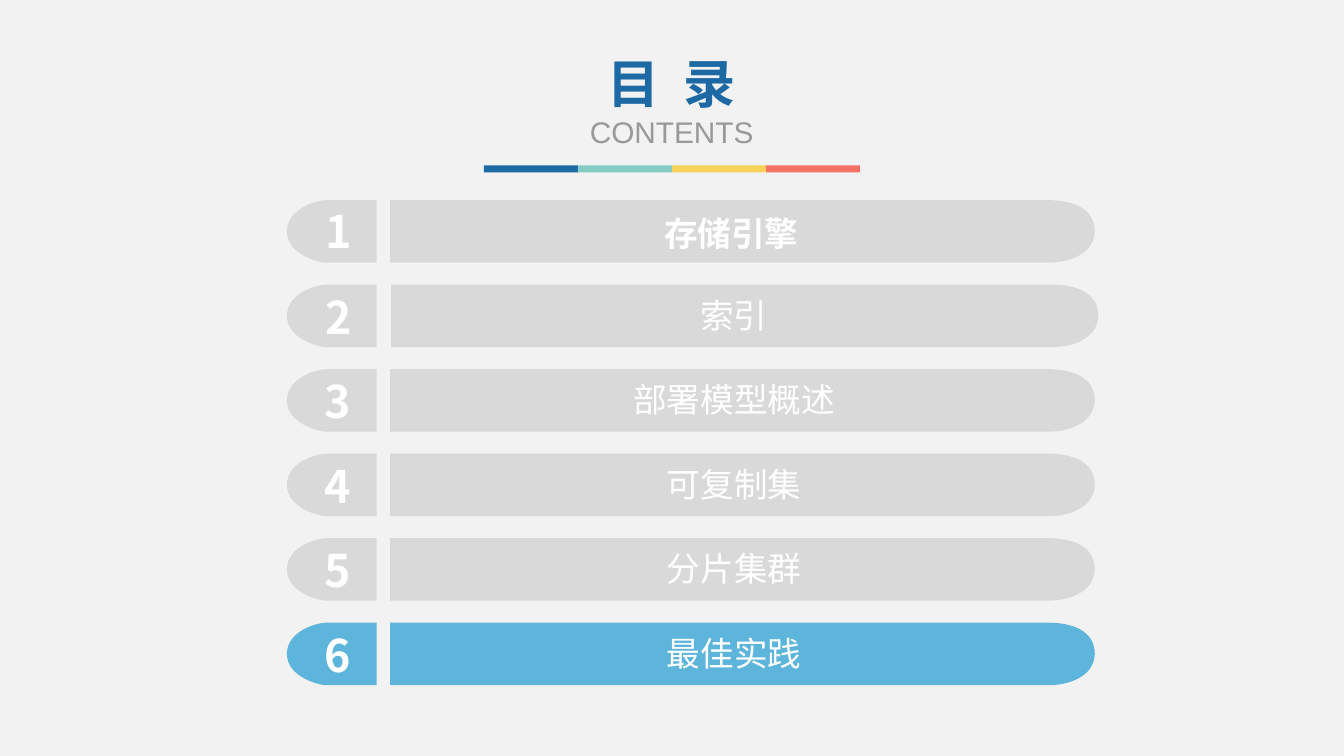
from dataclasses import dataclass
from typing import NamedTuple

from lxml.etree import SubElement
from pptx import Presentation
from pptx.dml.color import RGBColor
from pptx.enum.shapes import MSO_SHAPE as Preset
from pptx.enum.text import PP_ALIGN as Align
from pptx.oxml.ns import qn
from pptx.util import Inches, Pt

# Grid of 160 columns by 90 rows
COLUMNS, ROWS = 160, 90
SLIDE_WIDTH, SLIDE_HEIGHT = Inches(13.33), Inches(7.5)


@dataclass(frozen=True)
class Theme:
    background: str = "F2F2F2"
    heading: str = "1D69A3"
    subheading: str = "999999"
    idle: str = "D9D9D9"
    active: str = "5DB5DB"
    text: str = "FFFFFF"
    strip: tuple = ("1D69A3", "84CBC3", "F8D158", "F57365")
    heading_font: str = "Roboto Condensed"
    subheading_font: str = "Arial"
    body_font: str = "Noto Sans CJK SC"
    heading_size: float = 37.3
    subheading_size: float = 21.3
    number_size: float = 32
    label_size: float = 24


class Entry(NamedTuple):
    title: str
    bold: bool = False
    active: bool = False
    bar_left: float = 46.44
    bar_width: float = 83.9
    number_left: float = 37.32
    number_drop: float = 0
    label_left: float = 46.96
    label_width: float = 80.88
    label_drop: float = 0.6


THEME = Theme()
ENTRIES = (
    Entry("存储引擎", bold=True, number_left=37.44, number_drop=-0.16,
          label_left=47.16, label_width=79.8, label_drop=0.9),
    Entry("索引", bar_left=46.56, bar_width=84.2, number_left=37.44,
          label_left=47.16, label_width=80.4),
    Entry("部署模型概述"),
    Entry("可复制集"),
    Entry("分片集群"),
    Entry("最佳实践", active=True),
)
LIST_TOP, ROW_PITCH, ROW_HEIGHT = 23.83, 10.06, 7.44
NUMBER_LEFT, NUMBER_RIGHT = 34.16, 44.84

# Start and two Bezier curves of a rounded end: (inset from the tip, share of the height)
BAR_END = ((5.52, 1), (3.42, 1), (0.12, 0.89), (0, 0.5),
           (0, 0.11), (2.94, 0), (5.52, 0))
NUMBER_END = ((4.7, 1), (3.84, 1), (0, 0.87), (0, 0.5),
              (0, 0.13), (3.6, 0), (4.7, 0))


def across(columns):
    return round(SLIDE_WIDTH * columns / COLUMNS)


def down(rows):
    return round(SLIDE_HEIGHT * rows / ROWS)


def paint(shape, color):
    shape.shadow.inherit = False
    shape.fill.solid()
    shape.fill.fore_color.rgb = RGBColor.from_string(color)
    shape.line.fill.background()


def bend(shape, first):
    """Join the line segments from index first on, three by three, into Bezier curves."""
    segments = list(shape._element.iter(qn("a:lnTo")))[first:]
    for start in range(0, len(segments) - 2, 3):
        curve, *others = segments[start:start + 3]
        curve.tag = qn("a:cubicBezTo")
        for segment in others:
            curve.append(segment[0])
            segment.getparent().remove(segment)


def add_rounded_end(shapes, flat, tip, top, outline, color):
    """Block with one straight side at flat and one rounded side at tip."""
    inward = 1 if flat > tip else -1
    points = [(across(tip + inward * inset), down(top + share * ROW_HEIGHT))
              for inset, share in outline]
    builder = shapes.build_freeform(across(flat), down(top))
    builder.add_line_segments([(across(flat), down(top + ROW_HEIGHT))] + points)
    shape = builder.convert_to_shape()
    bend(shape, first=2)
    paint(shape, color)


def format_run(run, font_name, size, color, bold):
    run.font.name = font_name
    run.font.size = Pt(size)
    run.font.bold = bold
    run.font.color.rgb = RGBColor.from_string(color)
    SubElement(run.font._element, qn("a:ea")).set("typeface", font_name)


def add_text(shapes, left, top, width, height, lines, wrap=True):
    """Centred text box; each line is (text, font, size, color, bold)."""
    box = shapes.add_textbox(across(left), down(top), across(width), down(height))
    frame = box.text_frame
    frame.word_wrap = wrap
    frame.text = "\n".join(line[0] for line in lines)
    for paragraph, (_, *style) in zip(frame.paragraphs, lines):
        paragraph.alignment = Align.CENTER
        format_run(paragraph.runs[0], *style)
    return box


def add_heading(slide):
    box = add_text(slide.shapes, 67, 5.52, 25.92, 13.08, (
        ("目 录", THEME.heading_font, THEME.heading_size, THEME.heading, True),
        ("CONTENTS", THEME.subheading_font, THEME.subheading_size, THEME.subheading, False)))
    # Letter spacing, in hundredths of a point
    box.text_frame.paragraphs[0].runs[0].font._element.set("spc", "400")


def add_strip(slide):
    shapes = slide.shapes.add_group_shape().shapes
    width = 11.2
    left = (COLUMNS - width * len(THEME.strip)) / 2
    for index, color in enumerate(THEME.strip):
        shape = shapes.add_shape(Preset.RECTANGLE, across(left + index * width),
                                 down(19.68), across(width), down(0.84))
        paint(shape, color)


def add_entry(slide, index, entry):
    shapes = slide.shapes.add_group_shape().shapes
    top = LIST_TOP + index * ROW_PITCH
    color = THEME.active if entry.active else THEME.idle
    bar_tip = entry.bar_left + entry.bar_width
    add_rounded_end(shapes, entry.bar_left, bar_tip, top, BAR_END, color)
    add_rounded_end(shapes, NUMBER_RIGHT, NUMBER_LEFT, top, NUMBER_END, color)
    add_text(shapes, entry.number_left, top + entry.number_drop, 5.76, 7.68, (
        (str(index + 1), THEME.body_font, THEME.number_size, THEME.text, True),), wrap=False)
    add_text(shapes, entry.label_left, top + entry.label_drop, entry.label_width, 6, (
        (entry.title, THEME.body_font, THEME.label_size, THEME.text, entry.bold),))


def main():
    presentation = Presentation()
    presentation.slide_width, presentation.slide_height = SLIDE_WIDTH, SLIDE_HEIGHT
    slide = presentation.slides.add_slide(presentation.slide_layouts[6])
    slide.background.fill.solid()
    slide.background.fill.fore_color.rgb = RGBColor.from_string(THEME.background)

    # Heading and coloured strip
    add_strip(slide)
    add_heading(slide)

    # Table of contents
    for index, entry in enumerate(ENTRIES):
        add_entry(slide, index, entry)

    presentation.save("out.pptx")


if __name__ == "__main__":
    main()
